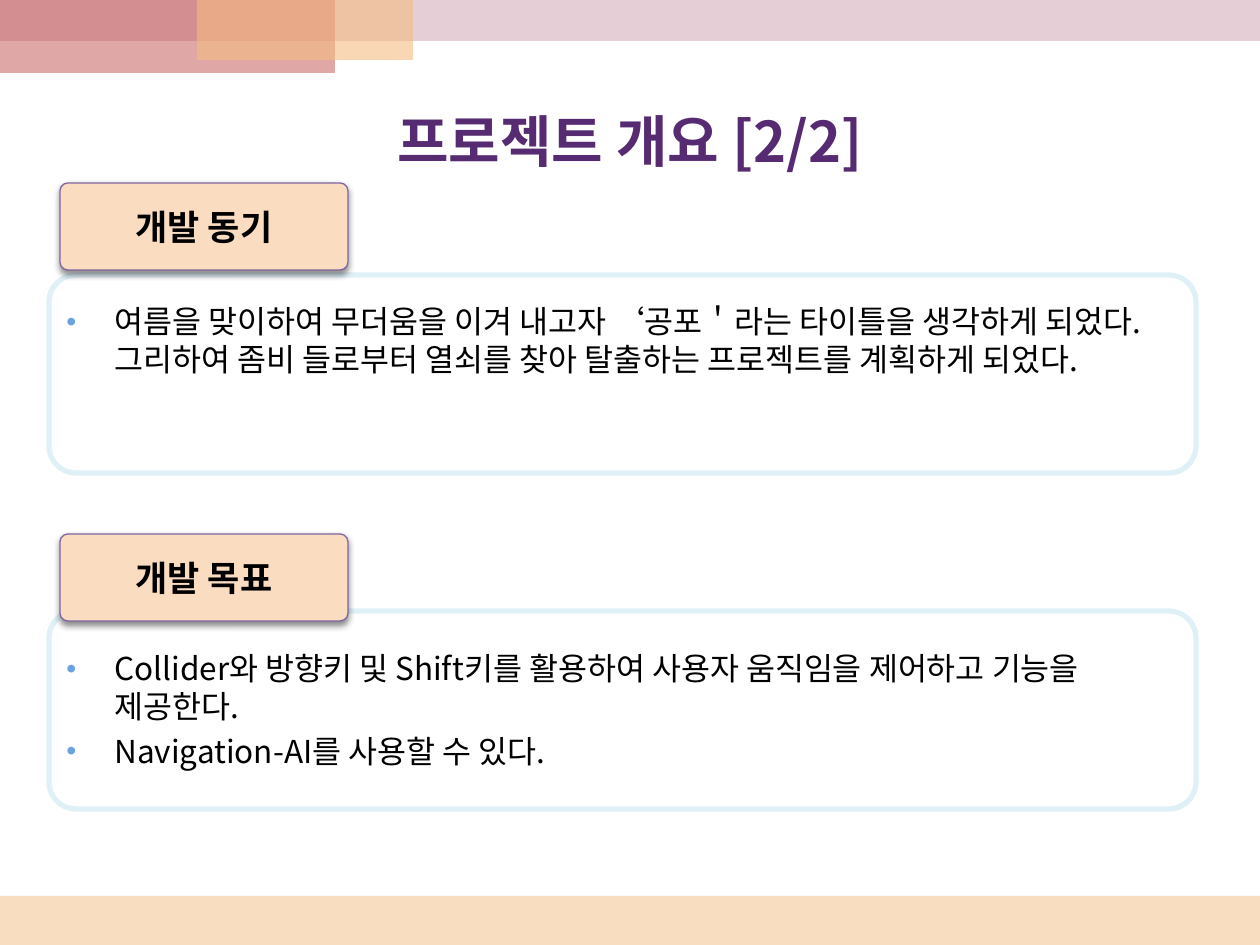
from lxml import etree
from pptx import Presentation
from pptx.dml.color import RGBColor
from pptx.enum.shapes import MSO_SHAPE as Shape
from pptx.enum.text import MSO_ANCHOR as Anchor, PP_ALIGN as Align
from pptx.oxml.ns import qn
from pptx.util import Emu, Pt

PX = 914400 / 126
FONT = "Noto Sans CJK KR"


def px(length):
    return Emu(round(length * PX))


def color(value):
    return RGBColor.from_string(value)


def child(parent, tag, **attributes):
    element = etree.SubElement(parent, qn(tag))
    for name, value in attributes.items():
        element.set(name, str(value))
    return element


def assign(target, values):
    for name, value in values.items():
        setattr(target, name, value)


class SlideBuilder:
    """Holds the style and the current slide."""

    frame_format = {"word_wrap": True}
    body_format = {"line_spacing": Pt(21.7), "alignment": Align.LEFT}

    def __init__(self, slide):
        self.slide = slide

    def block(self, box, fill, opacity=100, line=None, line_width=0, radius=None):
        kind = Shape.RECTANGLE if radius is None else Shape.ROUNDED_RECTANGLE
        shape = self.slide.shapes.add_shape(kind, *map(px, box))
        shape.shadow.inherit = False
        if radius is not None:
            shape.adjustments[0] = radius
        shape.fill.solid()
        shape.fill.fore_color.rgb = color(fill)
        if opacity < 100:
            solid = shape._element.spPr.find(qn("a:solidFill"))
            child(solid[0], "a:alpha", val=opacity * 1000)
        if line:
            shape.line.color.rgb = color(line)
            shape.line.width = Pt(line_width)
        else:
            shape.line.fill.background()
        return shape

    def add_text(self, paragraph, text, size, ink="000000", bold=False):
        run = paragraph.add_run()
        run.text = text
        assign(run.font, {"name": FONT, "size": Pt(size), "bold": bold})
        run.font.color.rgb = color(ink)
        child(run._r.get_or_add_rPr(), "a:ea", typeface=FONT)

    def center(self, shape, text, size, ink="000000", wrap=True):
        frame = shape.text_frame
        assign(frame, {"word_wrap": wrap, "vertical_anchor": Anchor.MIDDLE})
        paragraph = frame.paragraphs[0]
        paragraph.alignment = Align.CENTER
        self.add_text(paragraph, text, size, ink, bold=True)

    def title(self, box, text):
        shape = self.slide.shapes.add_textbox(*map(px, box))
        self.center(shape, text, 32, "562B71")

    def label(self, box, text):
        shape = self.block(box, "FADDC1", line="8064A2", line_width=0.75, radius=0.091)
        effects = shape._element.spPr.find(qn("a:effectLst"))
        shadow = child(effects, "a:outerShdw", blurRad=Pt(4), dist=Pt(2),
                       dir=90 * 60000, rotWithShape=0)
        child(child(shadow, "a:srgbClr", val="000000"), "a:alpha", val=45000)
        self.center(shape, text, 20, wrap=False)

    def bullets(self, box, items):
        frame = self.slide.shapes.add_textbox(*map(px, box)).text_frame
        assign(frame, self.frame_format)
        for index, text in enumerate(items):
            paragraph = frame.add_paragraph() if index else frame.paragraphs[0]
            assign(paragraph, self.body_format)
            if index:
                paragraph.space_before = Pt(3.6)
            properties = paragraph._p.get_or_add_pPr()
            properties.set("marL", str(px(48)))
            properties.set("indent", str(px(-48)))
            child(child(properties, "a:buClr"), "a:srgbClr", val="6BA2DF")
            child(properties, "a:buSzPct", val=90000)
            child(properties, "a:buFont", typeface="Arial")
            child(properties, "a:buChar", char="•")
            self.add_text(paragraph, text, 18)


def main():
    presentation = Presentation()
    assign(presentation, {"slide_width": px(1260), "slide_height": px(945)})
    builder = SlideBuilder(presentation.slides.add_slide(presentation.slide_layouts[6]))

    # Bands at the bottom and top
    for box, fill, opacity in [
        ((0, 896, 1260, 49), "F5BC83", 50),
        ((0, 0, 1260, 41), "CC9EAC", 50),
        ((0, 0, 335, 73), "C0504D", 50),
        ((197, 0, 216, 60), "F5BC83", 60),
    ]:
        builder.block(box, fill, opacity)

    builder.title((63, 74, 1134, 132), "프로젝트 개요 [2/2]")

    # Sections: label top, panel top, text top, heading, bullets
    sections = [
        (183, 275, 296, "개발 동기", [
            "여름을 맞이하여 무더움을 이겨 내고자 ‘공포＇라는 타이틀을 생각하게 되었다. "
            "그리하여 좀비 들로부터 열쇠를 찾아 탈출하는 프로젝트를 계획하게 되었다."]),
        (534, 611, 643, "개발 목표", [
            "Collider와 방향키 및 Shift키를 활용하여 사용자 움직임을 제어하고 기능을 제공한다.",
            "Navigation-AI를 사용할 수 있다."]),
    ]
    for label_top, panel_top, text_top, heading, items in sections:
        builder.block((49, panel_top, 1147, 198), "FFFFFF", 31, "DFF0F7", 3, 0.137)
        builder.bullets((54, text_top, 1147, 140), items)
        builder.label((60, label_top, 288, 87), heading)

    presentation.save("out.pptx")


if __name__ == "__main__":
    main()
